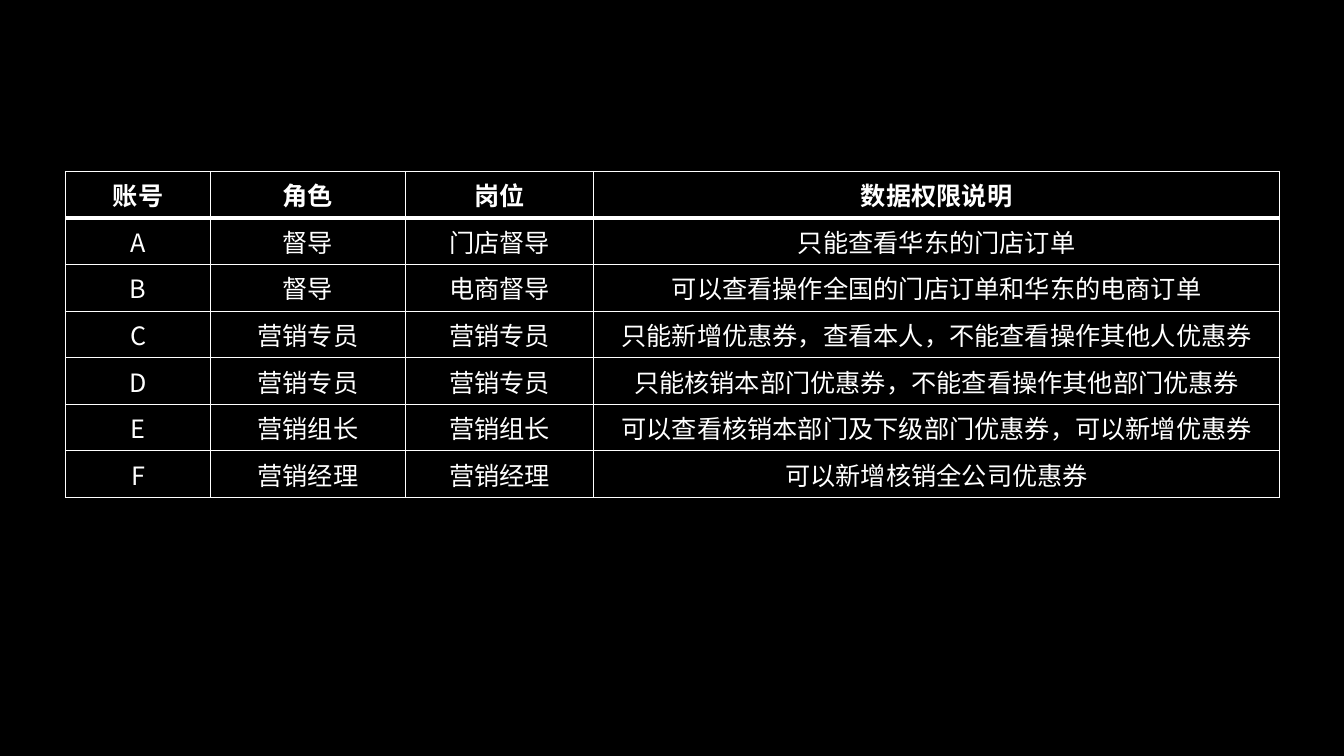
from lxml import etree
from pptx import Presentation
from pptx.dml.color import RGBColor
from pptx.enum.text import MSO_ANCHOR, PP_ALIGN
from pptx.oxml.ns import qn
from pptx.util import Inches, Pt

CENTER = PP_ALIGN.CENTER
MIDDLE = MSO_ANCHOR.MIDDLE


def rgb(value):
    return RGBColor.from_string(value)


class Deck:
    """Holds the style and the current slide."""
    font, size = "Noto Sans CJK SC", 18
    ink, paper = "FFFFFF", "000000"
    thin, thick = 1, 3

    def __init__(self, prs):
        self.s = prs.slides.add_slide(prs.slide_layouts[6])
        fill = self.s.background.fill
        fill.solid()
        fill.fore_color.rgb = rgb(self.paper)

    def border(self, cell, side, width):
        ln = etree.SubElement(cell._tc.get_or_add_tcPr(), qn("a:ln" + side), w=str(Pt(width)))
        fill = etree.SubElement(ln, qn("a:solidFill"))
        etree.SubElement(fill, qn("a:srgbClr"), val=self.ink)

    def cell(self, cell, text, row):
        cell.text_frame.text = text
        cell.vertical_anchor = MIDDLE
        # The rule below the header is shared by rows 0 and 1
        widths = {"L": self.thin, "R": self.thin,
                  "T": self.thick if row == 1 else self.thin,
                  "B": self.thick if row == 0 else self.thin}
        for side, width in widths.items():
            self.border(cell, side, width)
        cell.fill.background()
        p = cell.text_frame.paragraphs[0]
        p.alignment = CENTER
        r = p.runs[0]
        r.font.name = self.font
        r.font.size = Pt(self.size)
        r.font.bold = row == 0
        r.font.color.rgb = rgb(self.ink)
        etree.SubElement(r._r.get_or_add_rPr(), qn("a:ea"), typeface=self.font)

    def table(self, left, top, col_widths, row_height, rows):
        frame = self.s.shapes.add_table(
            len(rows), len(col_widths), Inches(left), Inches(top),
            Inches(sum(col_widths)), Inches(row_height * len(rows)))
        table = frame.table
        table.horz_banding = False
        for col, width in zip(table.columns, col_widths):
            col.width = Inches(width)
        for i, texts in enumerate(rows):
            table.rows[i].height = Inches(row_height)
            for j, text in enumerate(texts):
                self.cell(table.cell(i, j), text, i)


prs = Presentation()
prs.slide_width, prs.slide_height = Inches(13.33), Inches(7.5)
deck = Deck(prs)

# Data permissions by account
permissions = [
    ("账号", "角色", "岗位", "数据权限说明"),
    ("A", "督导", "门店督导", "只能查看华东的门店订单"),
    ("B", "督导", "电商督导", "可以查看操作全国的门店订单和华东的电商订单"),
    ("C", "营销专员", "营销专员", "只能新增优惠券，查看本人，不能查看操作其他人优惠券"),
    ("D", "营销专员", "营销专员", "只能核销本部门优惠券，不能查看操作其他部门优惠券"),
    ("E", "营销组长", "营销组长", "可以查看核销本部门及下级部门优惠券，可以新增优惠券"),
    ("F", "营销经理", "营销经理", "可以新增核销全公司优惠券"),
]
deck.table(0.65, 1.7, [1.44, 1.93, 1.87, 6.8], 0.46, permissions)

prs.save("out.pptx")
